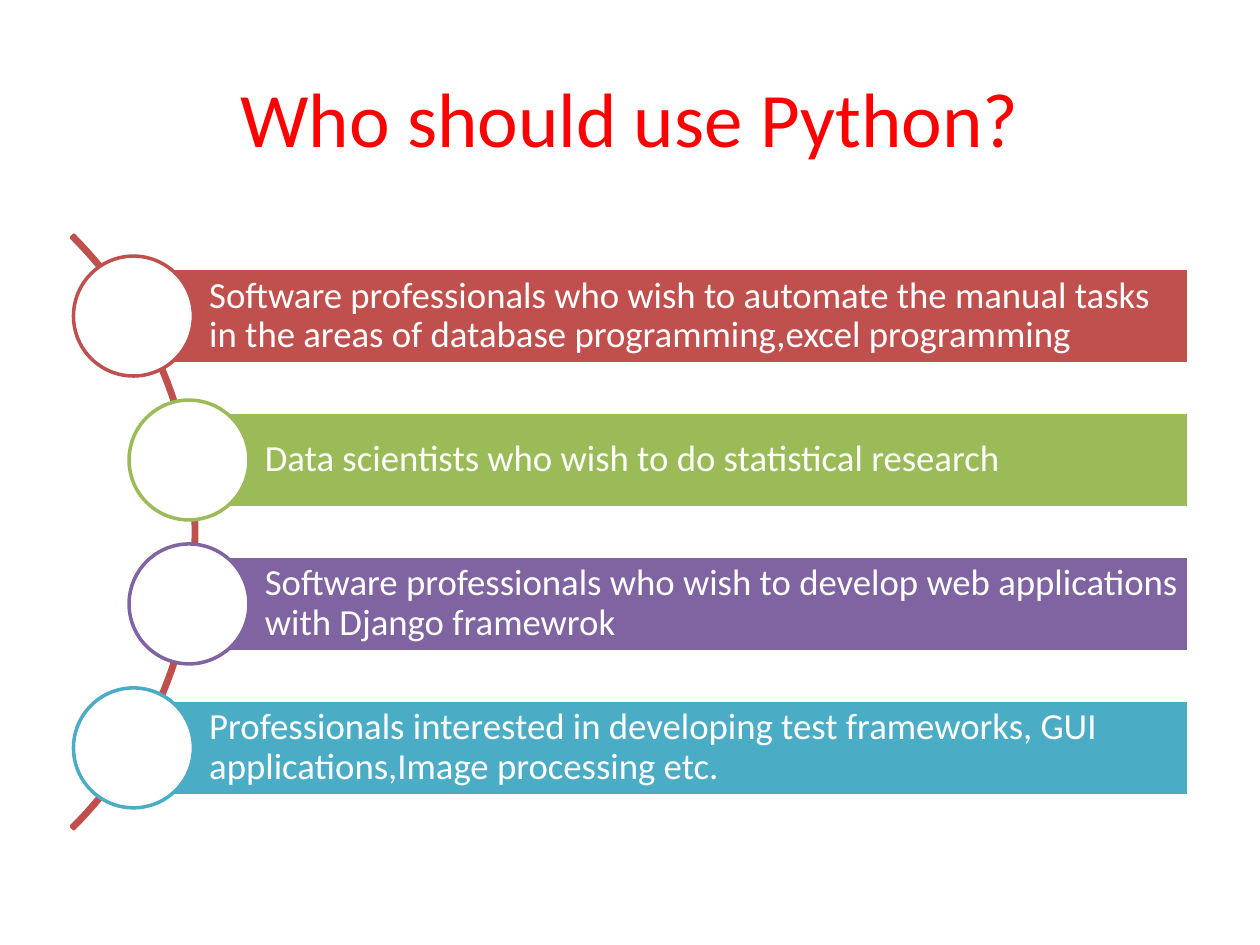
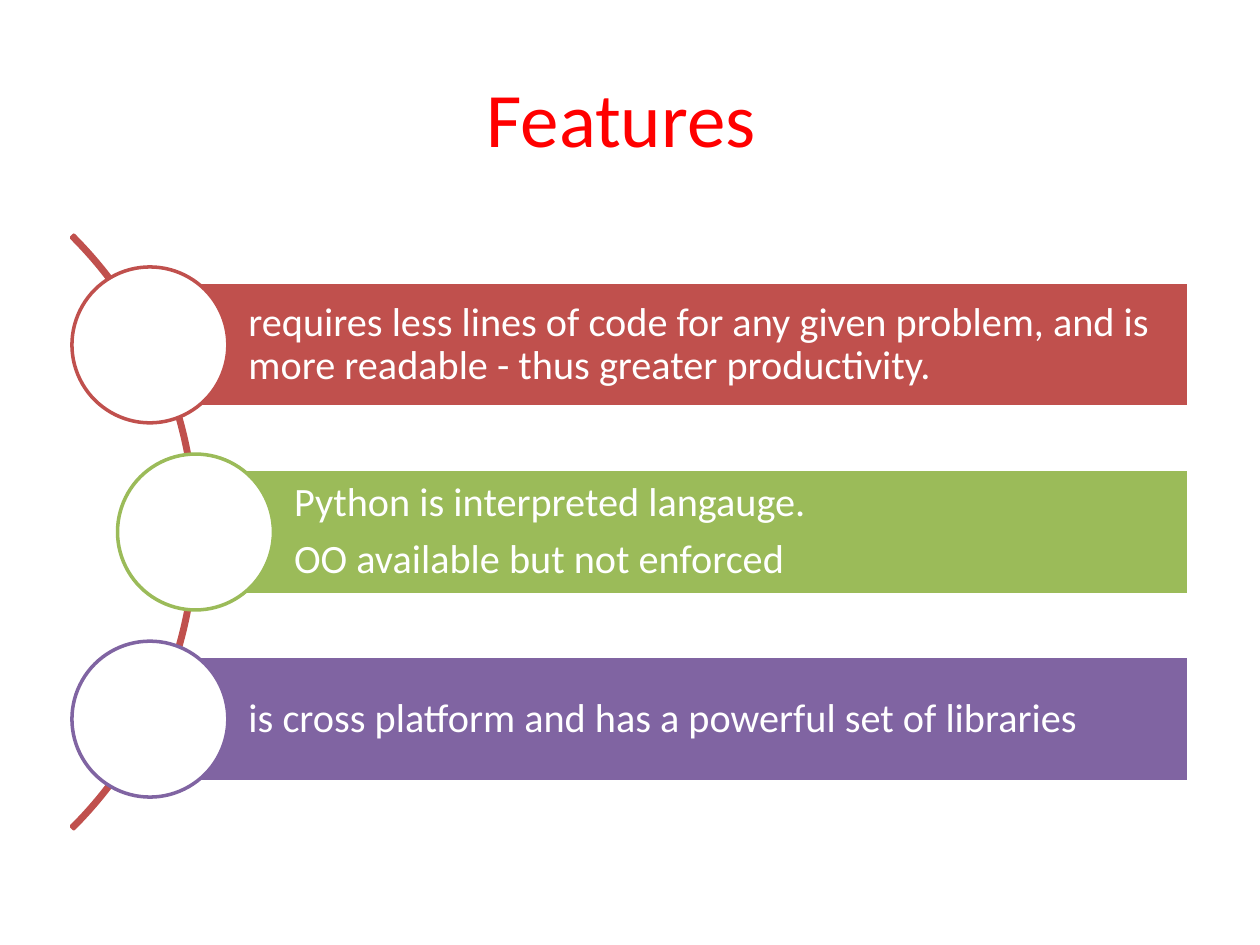
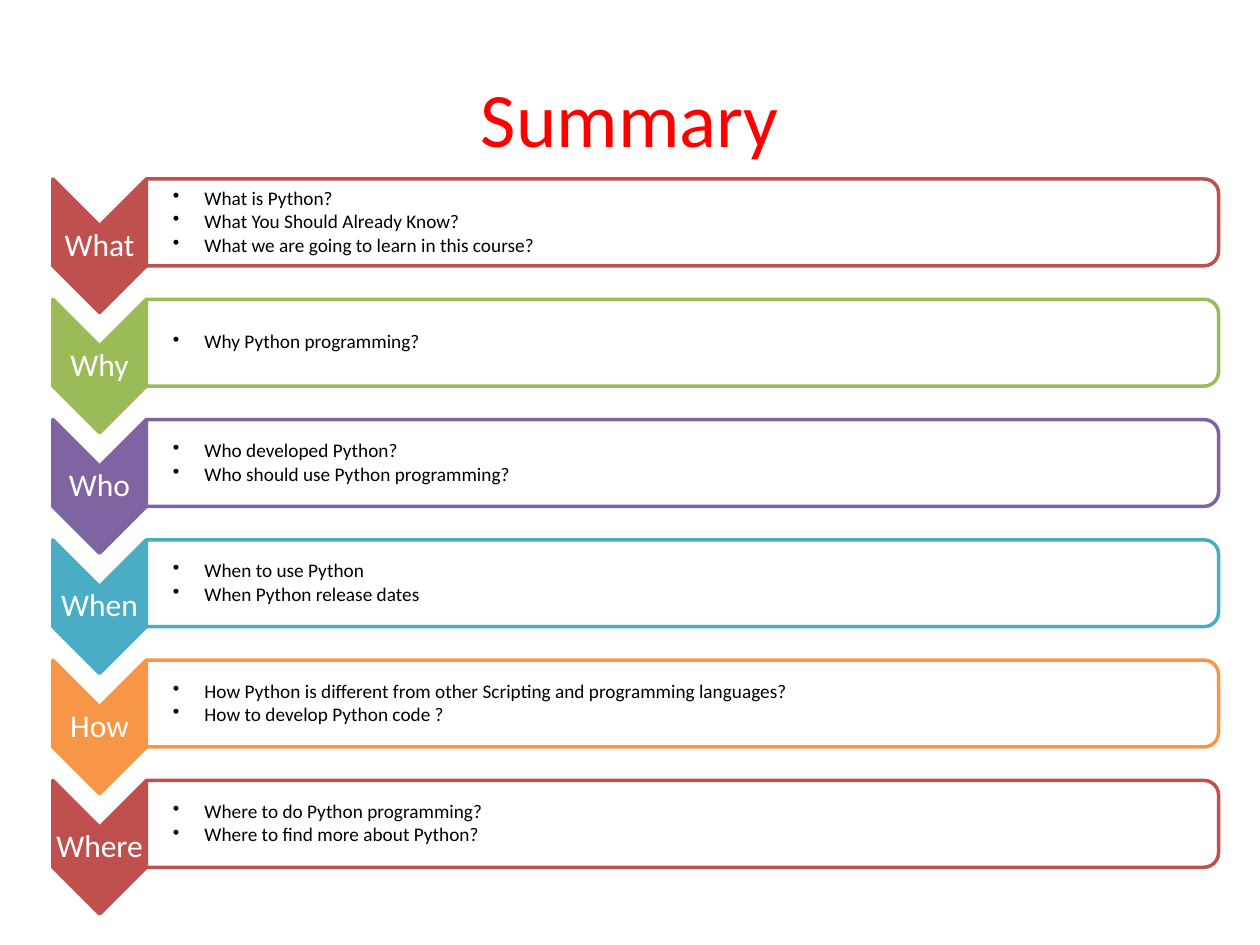
from math import sqrt

from lxml import etree
from pptx import Presentation
from pptx.dml.color import RGBColor
from pptx.enum.shapes import MSO_SHAPE
from pptx.enum.text import MSO_ANCHOR, PP_ALIGN
from pptx.oxml.ns import qn
from pptx.util import Pt

ARC, BAR, CIRCLE = MSO_SHAPE.BLOCK_ARC, MSO_SHAPE.RECTANGLE, MSO_SHAPE.OVAL
CHEVRON, PANEL = MSO_SHAPE.CHEVRON, MSO_SHAPE.ROUND_2_SAME_RECTANGLE
LEFT, CENTER, MIDDLE = PP_ALIGN.LEFT, PP_ALIGN.CENTER, MSO_ANCHOR.MIDDLE

FONT = "Calibri"
WHITE, BLACK, TITLE_RED = "FFFFFF", "000000", "FF0000"
ACCENTS = ["C0504D", "9BBB59", "8064A2", "4BACC6", "F79646"]
LINE_WIDTH = 2

# Curved list: bars follow a circle around the middle of the list
LIST_MIDDLE, LIST_HEIGHT, BAR_RIGHT = 304, 356.4, 679.2
CURVE_CENTER, CURVE_RADIUS = -120.8, 232.5
ARC_CENTER, ARC_SIZE = -127.4, 479.6
ARC_ADJUSTMENTS = (189, 27, 0.004)

# Chevron list
ROW_TOP, ROW_PITCH = 102.3, 68.74
CHEVRON_CENTER, CHEVRON_LENGTH, CHEVRON_WIDTH = 56.9, 76.3, 53.4
PANEL_LENGTH, PANEL_HEIGHT = 612.7, 49.6
PANEL_LEFT = CHEVRON_CENTER + CHEVRON_WIDTH / 2

AUDIENCE = [
    ["Software professionals who wish to automate the manual tasks in the areas "
     "of database programming,excel programming"],
    ["Data scientists who wish to do statistical research"],
    ["Software professionals who wish to develop web applications with Django framewrok"],
    ["Professionals interested in developing test frameworks, GUI "
     "applications,Image processing etc."],
]
FEATURES = [
    ["requires less lines of code for any given problem, and is more readable - "
     "thus greater productivity."],
    ["Python is interpreted langauge.", "OO available but not enforced"],
    ["is cross platform and has a powerful set of libraries"],
]
SUMMARY = {
    "What": ["What is Python?", "What You Should Already Know?",
             "What we are going to learn in this course?"],
    "Why": ["Why Python programming?"],
    "Who": ["Who developed Python?", "Who should use Python programming?"],
    "When": ["When to use Python", "When Python release dates"],
    "How": ["How Python is different from other Scripting and programming languages?",
            "How to develop Python code ?"],
    "Where": ["Where to do Python programming?", "Where to find more about Python?"],
}


def color(hex_text):
    return RGBColor.from_string(hex_text)


def set_attributes(target, values):
    for name, value in values.items():
        setattr(target, name, value)


class Deck:
    """Holds the shared style and the slide being built."""

    def __init__(self):
        self.presentation = Presentation()
        set_attributes(self.presentation, {"slide_width": Pt(720), "slide_height": Pt(540)})
        self.slide = None

    def add_slide(self, title):
        self.slide = self.presentation.slides.add_slide(self.presentation.slide_layouts[6])
        self.text_box((36, 21.6, 648, 90), [title], 44, TITLE_RED, (7.2, 3.6, 7.2, 3.6),
                      alignment=CENTER, line_spacing=1.0)

    def shape(self, kind, center, size, fill, line, rotation=0, opacity=None):
        """Draw a preset shape around its center; a fill of None leaves it open."""
        (x, y), (width, height) = center, size
        shape = self.slide.shapes.add_shape(
            kind, Pt(x - width / 2), Pt(y - height / 2), Pt(width), Pt(height))
        shape.rotation = rotation
        shape.shadow.inherit = False
        shape.line.color.rgb = color(line)
        shape.line.width = Pt(LINE_WIDTH)
        if fill is None:
            shape.fill.background()
            return shape
        shape.fill.solid()
        shape.fill.fore_color.rgb = color(fill)
        if opacity is not None:
            solid = shape.element.spPr.find(qn("a:solidFill"))
            etree.SubElement(solid[0], qn("a:alpha"), val=str(opacity * 1000))
        return shape

    def text_box(self, box, lines, size, font_color, margins, **options):
        shape = self.slide.shapes.add_textbox(*map(Pt, box))
        self.add_text(shape, lines, size, font_color, margins, **options)

    def add_text(self, shape, lines, size, font_color, margins, alignment=LEFT,
                 line_spacing=0.9, gap=0, bullets=False):
        """Put one paragraph per line; gap is a share of the font size."""
        frame = shape.text_frame
        names = ("margin_left", "margin_top", "margin_right", "margin_bottom")
        set_attributes(frame, dict(zip(names, map(Pt, margins))))
        set_attributes(frame, {"word_wrap": True, "vertical_anchor": MIDDLE})
        for index, line in enumerate(lines):
            paragraph = frame.add_paragraph() if index else frame.paragraphs[0]
            set_attributes(paragraph, {"alignment": alignment, "line_spacing": line_spacing,
                                       "space_after": Pt(size * gap)})
            run = paragraph.add_run()
            run.text = line
            set_attributes(run.font, {"name": FONT, "size": Pt(size)})
            run.font.color.rgb = color(font_color)
            if bullets:
                self.add_bullet(paragraph)

    def add_bullet(self, paragraph):
        properties = paragraph._p.get_or_add_pPr()
        properties.set("marL", str(Pt(27)))
        properties.set("indent", str(Pt(-18)))
        etree.SubElement(properties, qn("a:buChar"), char="•")

    def curved_list(self, items, size):
        """Bars with circles along an arc, sized so that all items fill the height."""
        arc = self.shape(ARC, (ARC_CENTER, LIST_MIDDLE), (ARC_SIZE, ARC_SIZE),
                         None, ACCENTS[0])
        for index, value in enumerate(ARC_ADJUSTMENTS):
            arc.adjustments[index] = value
        bar_height = LIST_HEIGHT / (1.5 * len(items) + 0.5)
        diameter = 1.25 * bar_height
        for index, (lines, accent) in enumerate(zip(items, ACCENTS)):
            offset = 1.5 * bar_height * (index - (len(items) - 1) / 2)
            x = CURVE_CENTER + sqrt(CURVE_RADIUS ** 2 - offset ** 2)
            y = LIST_MIDDLE + offset
            bar = self.shape(BAR, ((x + BAR_RIGHT) / 2, y), (BAR_RIGHT - x, bar_height),
                             accent, WHITE)
            self.add_text(bar, lines, size, WHITE, (0.79 * bar_height, 4.2, 4.2, 4.2), gap=0.35)
            self.shape(CIRCLE, (x, y), (diameter, diameter), WHITE, accent)

    def chevron_list(self, groups):
        """Downward chevrons with labels, each beside a panel of bullets."""
        for index, (label, lines) in enumerate(groups.items()):
            accent = ACCENTS[index % len(ACCENTS)]
            top = ROW_TOP + index * ROW_PITCH
            chevron_middle = top + CHEVRON_LENGTH / 2
            panel_middle = top + PANEL_HEIGHT / 2
            self.shape(CHEVRON, (CHEVRON_CENTER, chevron_middle),
                       (CHEVRON_LENGTH, CHEVRON_WIDTH), accent, accent, rotation=90)
            self.text_box((CHEVRON_CENTER - CHEVRON_WIDTH / 2, chevron_middle - 11.5,
                           CHEVRON_WIDTH, 23), [label], 18, WHITE, (0.9,) * 4,
                          alignment=CENTER, gap=0.35)
            self.shape(PANEL, (PANEL_LEFT + PANEL_LENGTH / 2, panel_middle),
                       (PANEL_HEIGHT, PANEL_LENGTH), WHITE, accent, rotation=90, opacity=90)
            self.text_box((PANEL_LEFT, panel_middle - 22.4, PANEL_LENGTH - 2.7, 44.8),
                          lines, 11, BLACK, (6.2, 0.6, 0.6, 0.6), gap=0.15, bullets=True)


def main():
    deck = Deck()
    deck.add_slide("Who should use Python?")
    deck.curved_list(AUDIENCE, 21)
    deck.add_slide("Features ")
    deck.curved_list(FEATURES, 23)
    deck.add_slide("Summary")
    deck.chevron_list(SUMMARY)
    deck.presentation.save("out.pptx")


if __name__ == "__main__":
    main()
